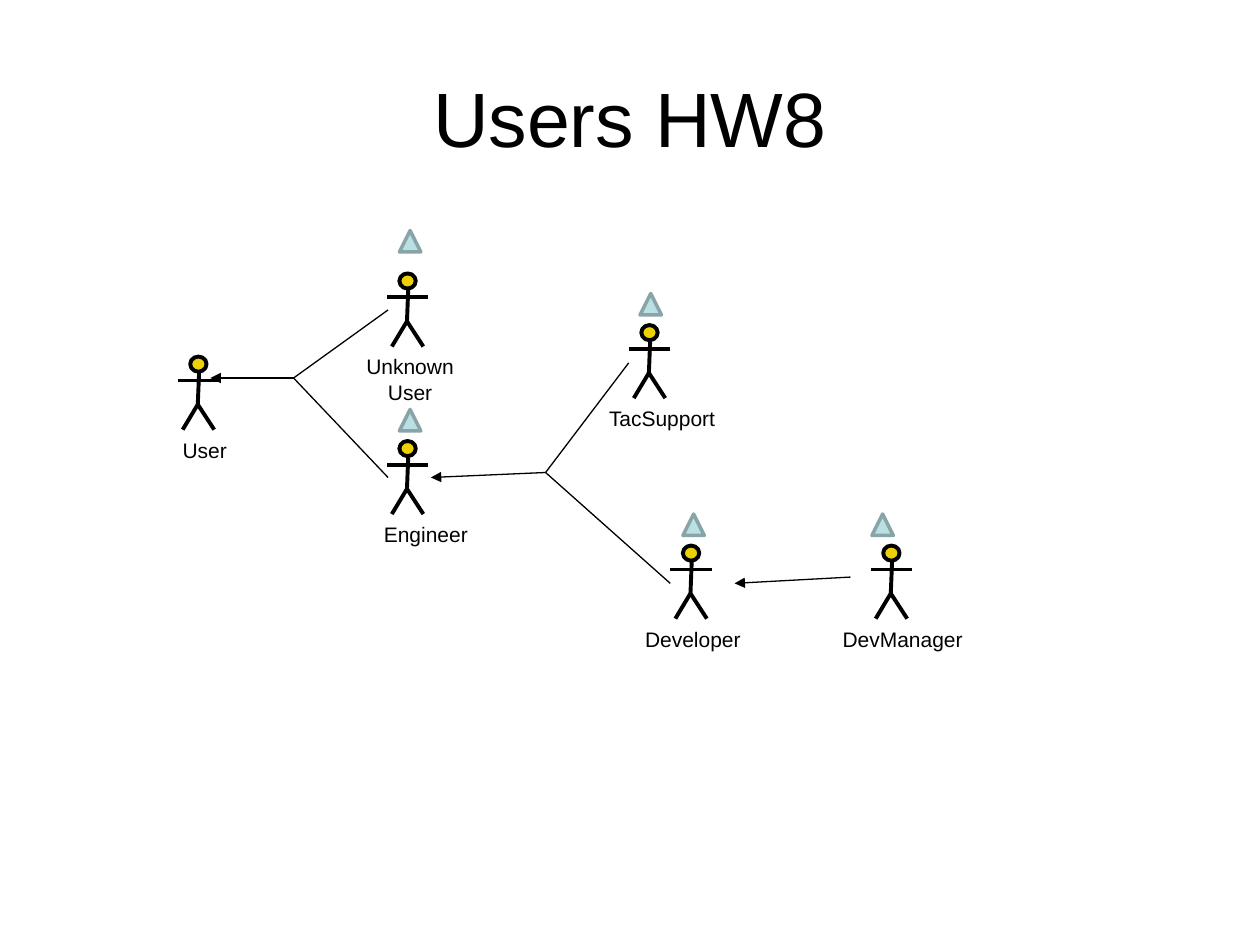
from lxml import etree
from pptx import Presentation
from pptx.dml.color import RGBColor
from pptx.enum.shapes import MSO_CONNECTOR, MSO_SHAPE
from pptx.enum.text import MSO_ANCHOR, PP_ALIGN
from pptx.oxml.ns import qn
from pptx.util import Inches, Pt

STRAIGHT = MSO_CONNECTOR.STRAIGHT
OVAL = MSO_SHAPE.OVAL
TRIANGLE = MSO_SHAPE.FLOWCHART_EXTRACT
CENTER = PP_ALIGN.CENTER
TOP = MSO_ANCHOR.TOP
MIDDLE = MSO_ANCHOR.MIDDLE

FONT = "Arial"
BLACK = RGBColor(0x00, 0x00, 0x00)
YELLOW = RGBColor(0xEC, 0xD1, 0x0A)
PALE_TEAL = RGBColor(0xBB, 0xE0, 0xE3)
GREY_TEAL = RGBColor(0x89, 0xA4, 0xA7)

# Name, arm left, head top, label box (left, width, height)
ACTORS = [
    ("TacSupport", 4.99, 2.58, (4.67, 1.17, 0.3)),
    ("Unknown User", 3.07, 2.17, (2.67, 1.17, 0.5)),
    ("Engineer", 3.07, 3.5, (2.92, 0.92, 0.3)),
    ("User", 1.41, 2.83, (1.25, 0.75, 0.3)),
    ("Developer", 5.32, 4.33, (5, 1, 0.3)),
    ("DevManager", 6.91, 4.33, (6.58, 1.17, 0.3)),
]

# Limbs relative to the arm left and head top
LIMBS = [
    ((0.17, 0.13), (0.16, 0.38)),  # body
    ((0.04, 0.58), (0.16, 0.38)),  # left leg
    ((0.29, 0.58), (0.16, 0.38)),  # right leg
    ((0, 0.19), (0.33, 0.19)),     # arms
]

# Junction, arrow target, branch ends
INHERITANCE = [
    ((2.33, 3), (1.67, 3), [(3.08, 2.46), (3.08, 3.79)]),
    ((4.33, 3.75), (3.42, 3.79), [(4.99, 2.88), (5.32, 4.63)]),
    ((6.75, 4.58), (5.83, 4.63), []),
]

MARKERS = [(3.17, 1.83), (3.17, 3.25), (5.08, 2.33), (5.42, 4.08), (6.92, 4.08)]
MARKER_SIZE = 0.17


def add_line(shapes, start, end, width, arrow=False):
    points = [Inches(value) for value in (*start, *end)]
    line = shapes.add_connector(STRAIGHT, *points)
    line.line.color.rgb = BLACK
    line.line.width = Pt(width)
    if arrow:
        tail = etree.SubElement(line.line._get_or_add_ln(), qn("a:tailEnd"))
        tail.set("type", "triangle")
    etree.SubElement(line._element.spPr, qn("a:effectLst"))


def add_filled_shape(shapes, kind, box, fill, outline, width):
    shape = shapes.add_shape(kind, *[Inches(value) for value in box])
    shape.shadow.inherit = False
    shape.fill.solid()
    shape.fill.fore_color.rgb = fill
    shape.line.color.rgb = outline
    shape.line.width = Pt(width)


def write_text(frame, text, size, anchor):
    frame.word_wrap = True
    frame.vertical_anchor = anchor
    para = frame.paragraphs[0]
    para.alignment = CENTER
    span = para.add_run()
    span.text = text
    span.font.name = FONT
    span.font.size = Pt(size)
    span.font.color.rgb = BLACK


def add_title(page, text, box):
    title = page.shapes.title
    title.left, title.top, title.width, title.height = map(Inches, box)
    write_text(title.text_frame, text, 44, MIDDLE)


def add_actor(page, name, left, top, label_box):
    """Group a stick figure with the label below it."""
    parts = page.shapes.add_group_shape().shapes
    add_filled_shape(parts, OVAL, (left + 0.1, top, 0.13, 0.12), YELLOW, BLACK, 2.25)
    for start, end in LIMBS:
        add_line(parts, (left + start[0], top + start[1]),
                 (left + end[0], top + end[1]), 2.25)
    label_left, width, height = label_box
    label = parts.add_textbox(Inches(label_left), Inches(top + 0.59),
                              Inches(width), Inches(height))
    write_text(label.text_frame, name, 12, TOP)


def add_inheritance(page, junction, target, branches):
    """Draw an arrow from the junction to the parent, and lines to its children."""
    add_line(page.shapes, junction, target, 0.75, arrow=True)
    for branch in branches:
        add_line(page.shapes, junction, branch, 0.75)


def main():
    deck = Presentation()
    deck.slide_width, deck.slide_height = Inches(10), Inches(7.5)
    page = deck.slides.add_slide(deck.slide_layouts.get_by_name("Title Only"))
    add_title(page, "Users HW8", (0.5, 0.3, 9, 1.25))
    for relation in INHERITANCE:
        add_inheritance(page, *relation)
    for actor in ACTORS:
        add_actor(page, *actor)
    for left, top in MARKERS:
        add_filled_shape(page.shapes, TRIANGLE, (left, top, MARKER_SIZE, MARKER_SIZE),
                         PALE_TEAL, GREY_TEAL, 2)
    deck.save("out.pptx")


if __name__ == "__main__":
    main()
